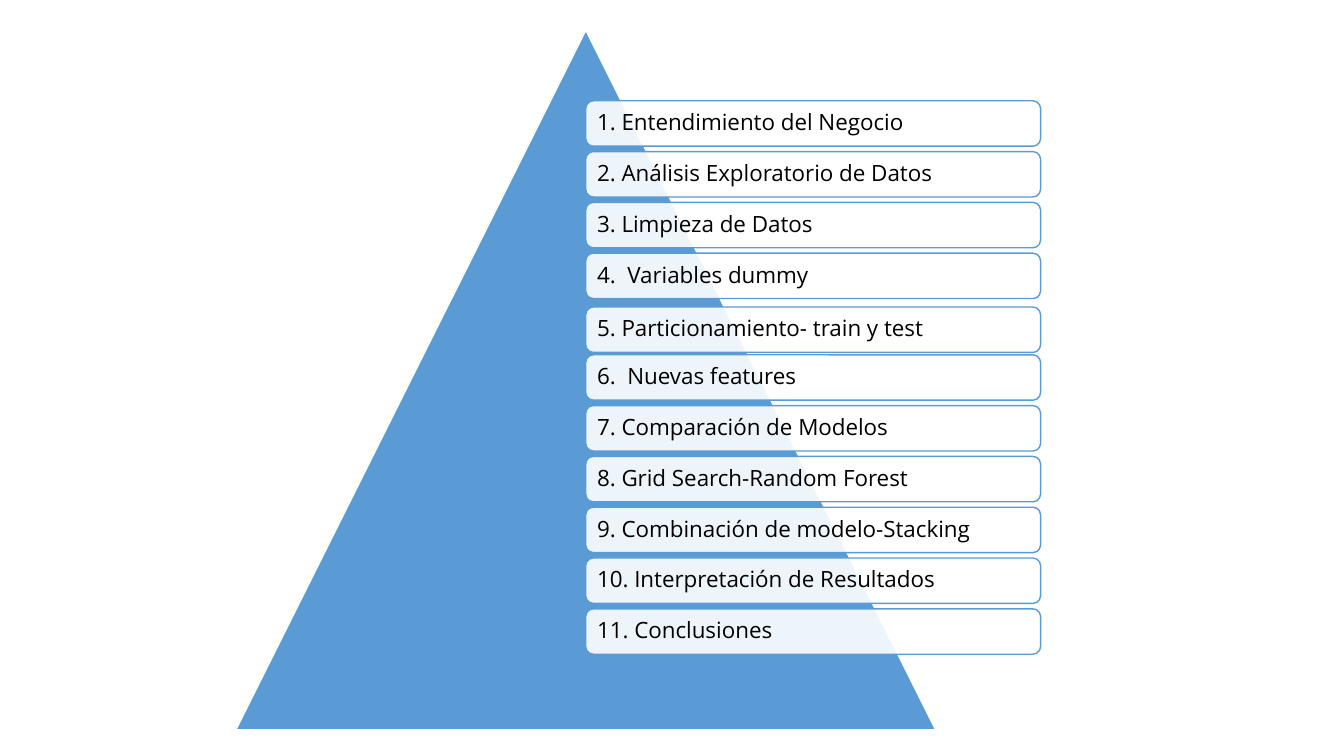
import pptx
import pptx.dml.color
import pptx.enum.shapes
import pptx.enum.text
import pptx.oxml
import pptx.oxml.ns
import pptx.util

Inches = pptx.util.Inches
SHAPES = pptx.enum.shapes.MSO_SHAPE
COLORS = {"blue": "5B9BD5", "white": "FFFFFF", "black": "000000"}
FONT = "Open Sans"
STEPS = [
    "1. Entendimiento del Negocio",
    "2. Análisis Exploratorio de Datos",
    "3. Limpieza de Datos",
    "4.  Variables dummy",
    "5. Particionamiento- train y test",
    "6.  Nuevas features",
    "7. Comparación de Modelos",
    "8. Grid Search-Random Forest",
    "9. Combinación de modelo-Stacking",
    "10. Interpretación de Resultados",
    "11. Conclusiones",
]
STEP_HEIGHT = 0.45
STEP_NUDGES = {4: 0.03}


def rgb(name):
    """Return the named colour as an RGB value."""
    return pptx.dml.color.RGBColor.from_string(COLORS[name])


def add_box(slide, preset, box, fill, line, opacity=100):
    """Add a filled and outlined preset shape in the given box."""
    shape = slide.shapes.add_shape(preset, *map(Inches, box))
    shape.shadow.inherit = False
    shape.fill.solid()
    shape.fill.fore_color.rgb = rgb(fill)
    shape.line.color.rgb = rgb(line)
    shape.line.width = pptx.util.Pt(1)
    if opacity < 100:
        color = shape.fill._xPr.find(".//" + pptx.oxml.ns.qn("a:srgbClr"))
        alpha = pptx.oxml.parse_xml(
            f'<a:alpha {pptx.oxml.ns.nsdecls("a")} val="{opacity * 1000}"/>')
        color.append(alpha)
    return shape


def write_text(shape, text, size=16, color="black", inset=0.09, spacing=0.9):
    """Write one left-aligned, vertically centred paragraph in a shape."""
    frame = shape.text_frame
    frame.word_wrap = True
    frame.vertical_anchor = pptx.enum.text.MSO_ANCHOR.MIDDLE
    frame.margin_left = frame.margin_right = Inches(inset)
    frame.margin_top = frame.margin_bottom = Inches(inset)
    paragraph = frame.paragraphs[0]
    paragraph.alignment = pptx.enum.text.PP_ALIGN.LEFT
    paragraph.line_spacing = spacing
    run = paragraph.add_run()
    run.text = text
    run.font.name = FONT
    run.font.size = pptx.util.Pt(size)
    run.font.color.rgb = rgb(color)


def add_step_list(slide, box):
    """Stack the project steps evenly from top to bottom of the box."""
    left, top, width, height = box
    pitch = (height - STEP_HEIGHT) / (len(STEPS) - 1)
    for index, text in enumerate(STEPS):
        step_top = top + index * pitch + STEP_NUDGES.get(index, 0)
        step = add_box(slide, SHAPES.ROUNDED_RECTANGLE,
                       (left, step_top, width, STEP_HEIGHT),
                       "white", "blue", opacity=90)
        write_text(step, text)


def add_pyramid_list(slide, box):
    """Draw the pyramid and the steps that start at its vertical axis."""
    left, top, width, height = box
    add_box(slide, SHAPES.ISOSCELES_TRIANGLE, box, "blue", "white")
    add_step_list(slide, (left + width / 2, top + 0.7, width * 0.65, 5.49))


def main():
    """Build and save the presentation."""
    presentation = pptx.Presentation()
    presentation.slide_width = Inches(13.33)
    presentation.slide_height = Inches(7.5)
    slide = presentation.slides.add_slide(presentation.slide_layouts[6])
    add_pyramid_list(slide, (2.34, 0.3, 6.94, 6.94))
    presentation.save("out.pptx")


main()
